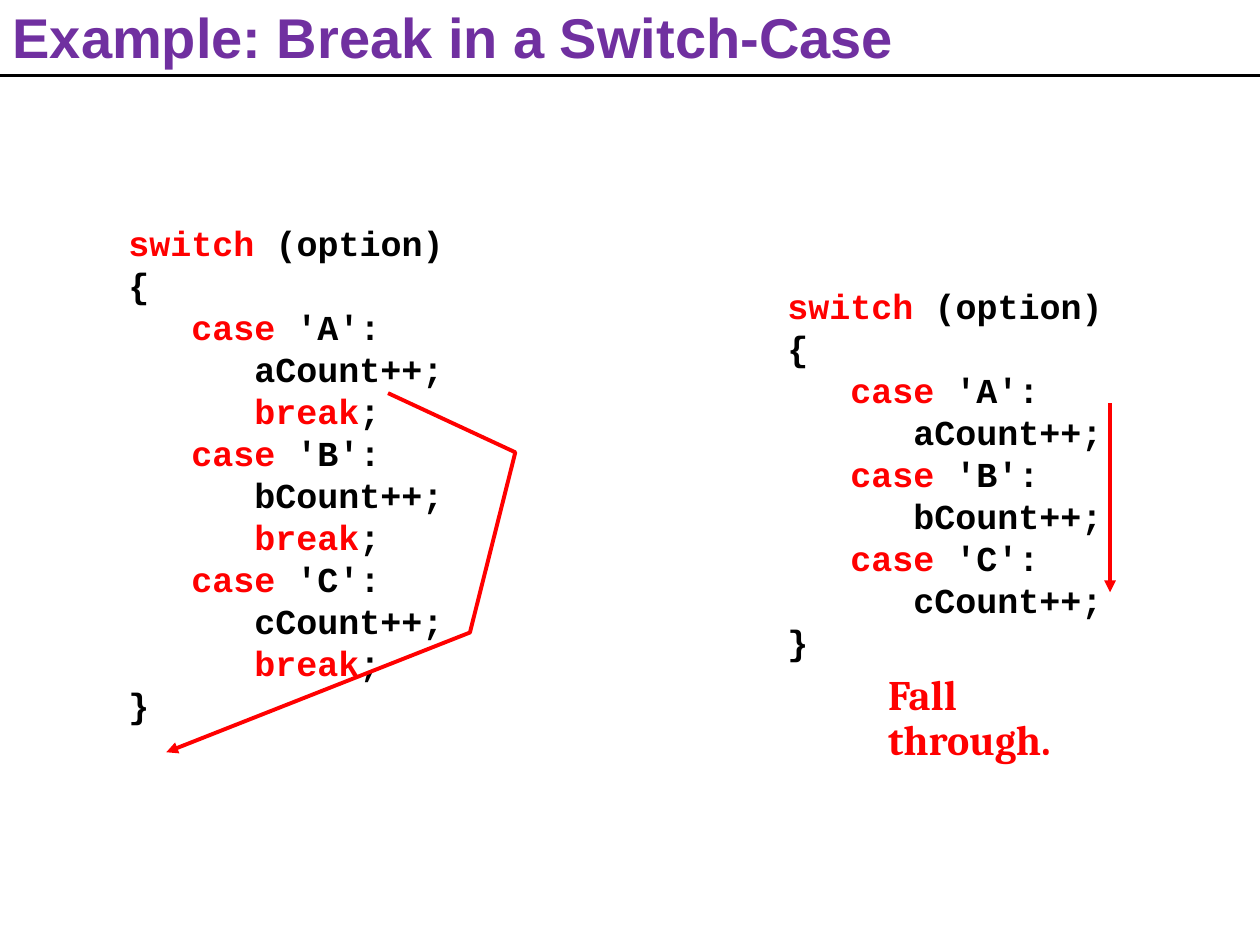
"""Build the slide on break and fall through in a switch-case."""
from pptx import Presentation
from pptx import util as u
from pptx.dml.color import RGBColor
from pptx.enum import shapes, text
from pptx.oxml.ns import qn
from lxml import etree

THEME = {
    "title": {"name": "Arial", "size": 32, "color": "7030A0"},
    "code": {"name": "Courier New", "size": 20, "color": "000000"},
    "key": {"name": "Courier New", "size": 20, "color": "FF0000"},
    "note": {"name": "Cambria", "size": 24, "color": "FF0000"},
    "rule": ("000000", 1.5),
    "flow": ("FF0000", 2.25),
    "indent": 0.5,
}
TITLE = "Example: Break in a Switch-Case"
NOTE = "Fall through."
KEYS = ("switch", "case", "break")
CASES = "ABC"
BLOCKS = [
    {"box": (0.92, 1.87, 2.87, 3.77), "stop": True},
    {"box": (6.15, 2.37, 2.87, 2.77), "stop": False},
]
JUMP = [(3.08, 3.12), (4.09, 3.59), (3.73, 5.02), (1.32, 5.97)]
FALL = [(8.81, 3.2), (8.81, 4.7)]
RULE = [(0, 0.6), (10, 0.6)]


def code(stop):
    """Return (level, line) pairs for one switch block."""
    rows = [(0, "switch (option)\v{")]
    for name in CASES:
        rows += [(1, f"case '{name}':"), (2, f"{name.lower()}Count++;")]
        if stop:
            rows.append((2, "break;"))
    return rows + [(0, "}")]


def write(par, words, style):
    """Add a bold run in a theme style."""
    run = par.add_run()
    run.text = words
    look = THEME[style]
    form = {"name": look["name"], "size": u.Pt(look["size"]), "bold": True}
    for key, value in form.items():
        setattr(run.font, key, value)
    run.font.color.rgb = RGBColor.from_string(look["color"])


def line(par, words):
    """Write one code line with its keyword in colour."""
    key = next((k for k in KEYS if words.startswith(k)), "")
    if key:
        write(par, key, "key")
    for i, part in enumerate(words[len(key):].split("\v")):
        if i:
            par.add_line_break()
        write(par, part, "code")


def frame(slide, box, anchor):
    """Add a wrapping text box and return its frame."""
    area = slide.shapes.add_textbox(*map(u.Inches, box)).text_frame
    form = {"word_wrap": True, "vertical_anchor": anchor}
    for key, value in form.items():
        setattr(area, key, value)
    return area


def block(slide, box, stop):
    """Add one block of code."""
    area = frame(slide, box, text.MSO_ANCHOR.MIDDLE)
    for i, (level, words) in enumerate(code(stop)):
        par = area.add_paragraph() if i else area.paragraphs[0]
        left = u.Inches(level * THEME["indent"])
        par._p.get_or_add_pPr().set("marL", str(left))
        line(par, words)


def stroke(shape, style, arrow=False):
    """Set colour, width and arrowhead of a line."""
    color, width = THEME[style]
    shape.line.color.rgb = RGBColor.from_string(color)
    shape.line.width = u.Pt(width)
    if arrow:
        tip = etree.SubElement(shape.line._get_or_add_ln(), qn("a:tailEnd"))
        tip.set("type", "triangle")


def link(slide, ends, style, arrow=False):
    """Add a straight line between two points."""
    spots = [u.Inches(n) for spot in ends for n in spot]
    wire = slide.shapes.add_connector(shapes.MSO_CONNECTOR.STRAIGHT, *spots)
    stroke(wire, style, arrow)
    etree.SubElement(wire._element.spPr, qn("a:effectLst"))


def jump(slide):
    """Add the bent arrow that leaves the switch."""
    spots = [tuple(map(u.Inches, spot)) for spot in JUMP]
    pen = slide.shapes.build_freeform(*spots[0])
    pen.add_line_segments(spots[1:], close=False)
    bend = pen.convert_to_shape()
    bend.fill.background()
    bend.shadow.inherit = False
    stroke(bend, "flow", True)


def head(slide):
    """Place and format the title."""
    title = slide.shapes.title
    place = {"left": 0, "top": 0, "width": 10, "height": 0.6}
    for key, value in place.items():
        setattr(title, key, u.Inches(value))
    area = title.text_frame
    area.vertical_anchor = text.MSO_ANCHOR.BOTTOM
    area.auto_size = text.MSO_AUTO_SIZE.NONE
    par = area.paragraphs[0]
    par.alignment = text.PP_ALIGN.LEFT
    write(par, TITLE, "title")


def main():
    """Build and save the slide."""
    deck = Presentation()
    deck.slide_width, deck.slide_height = u.Inches(10), u.Inches(7.5)
    slide = deck.slides.add_slide(deck.slide_layouts[5])
    link(slide, RULE, "rule")
    head(slide)
    for item in BLOCKS:
        block(slide, **item)
    jump(slide)
    link(slide, FALL, "flow", True)
    area = frame(slide, (6.95, 5.3, 2.08, 0.46), text.MSO_ANCHOR.TOP)
    area.paragraphs[0].line_spacing = 0.9
    write(area.paragraphs[0], NOTE, "note")
    deck.save("out.pptx")


if __name__ == "__main__":
    main()
